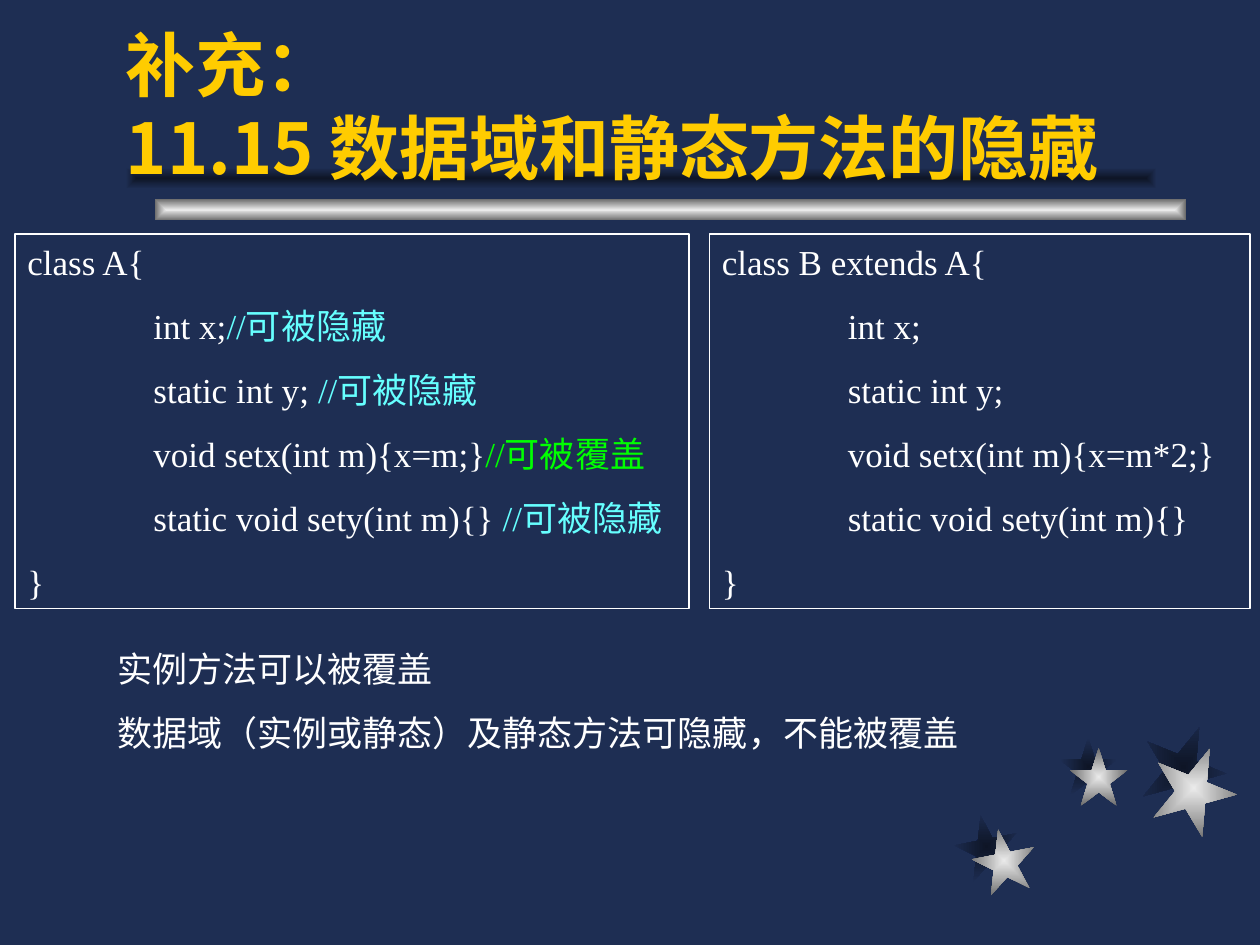
from lxml.etree import SubElement
from pptx import Presentation
from pptx.dml.color import RGBColor
from pptx.enum.shapes import MSO_SHAPE as Shape
from pptx.enum.text import MSO_ANCHOR as Anchor
from pptx.oxml.ns import qn
from pptx.util import Pt

NAVY = RGBColor(0x1E, 0x2E, 0x53)
DARK = RGBColor(0x0E, 0x15, 0x26)
SILVER = RGBColor(0xEA, 0xEA, 0xEA)
GREY = RGBColor(0x6C, 0x6C, 0x6C)
GOLD = RGBColor(0xFF, 0xCC, 0x00)
WHITE = RGBColor(0xFF, 0xFF, 0xFF)
CYAN = RGBColor(0x66, 0xFF, 0xFF)
GREEN = RGBColor(0x00, 0xFF, 0x00)
METAL = (SILVER, GREY)
SHADE = (DARK, NAVY)
LATIN, CJK = "Times New Roman", "Noto Sans CJK SC"

TITLE = ["补充：", "11.15 数据域和静态方法的隐藏"]
HIDDEN = ("//可被隐藏", CYAN)
OVERRIDDEN = ("//可被覆盖", GREEN)

# Each line is a list of (text, colour) spans
CLASS_A = [
    [("class A{", WHITE)],
    [("\tint x;", WHITE), HIDDEN],
    [("\tstatic int y; ", WHITE), HIDDEN],
    [("\tvoid setx(int m){x=m;}", WHITE), OVERRIDDEN],
    [("\tstatic void sety(int m){} ", WHITE), HIDDEN],
    [("}", WHITE)],
]
CLASS_B = [[(line, WHITE)] for line in (
    "class B extends A{",
    "\tint x;",
    "\tstatic int y;",
    "\tvoid setx(int m){x=m*2;}",
    "\tstatic void sety(int m){}",
    "}",
)]
SUMMARY = [[(line, WHITE)] for line in (
    "实例方法可以被覆盖",
    "数据域（实例或静态）及静态方法可隐藏，不能被覆盖",
)]

# Left, top, size, rotation of each star, then the offset of its shade
STARS = [
    (555.8, 473.8, 36, 349, -10, -8),
    (611.3, 427.4, 33.1, 0, -6, -6),
    (658.1, 426.2, 48.2, 22, -6, -12),
]
BAR_WIDTH, BAR_HEIGHT = 589, 12.2
CODE_TOP, CODE_HEIGHT = 133.9, 213.8


def add_glow(page, kind, left, top, width, height, colours, rotation=0):
    """Add a shape whose colour runs from its centre to its edges."""
    shape = page.shapes.add_shape(kind, Pt(left), Pt(top), Pt(width), Pt(height))
    shape.shadow.inherit = False
    shape.rotation = rotation
    shape.line.fill.background()
    shape.fill.gradient()
    for stop, colour in zip(shape.fill.gradient_stops, colours):
        stop.color.rgb = colour
    gradient = shape.element.spPr.find(qn("a:gradFill"))
    gradient.remove(gradient.find(qn("a:lin")))
    radial = SubElement(gradient, qn("a:path"))
    radial.set("path", "rect")
    SubElement(radial, qn("a:fillToRect"), dict.fromkeys("ltrb", "50000"))


def add_span(para, text, latin, size, colour, bold=False):
    span = para.add_run()
    span.text = text
    font = span.font
    font.name, font.size, font.bold = latin, Pt(size), bold
    font.color.rgb = colour
    SubElement(font._element, qn("a:ea")).set("typeface", CJK)


def add_lines(page, left, top, width, height, lines, framed=False):
    box = page.shapes.add_textbox(Pt(left), Pt(top), Pt(width), Pt(height))
    if framed:
        box.line.color.rgb = WHITE
        box.line.width = Pt(1)
    frame = box.text_frame
    frame.word_wrap = True
    for index, line in enumerate(lines):
        para = frame.add_paragraph() if index else frame.paragraphs[0]
        tabs = SubElement(para._p.get_or_add_pPr(), qn("a:tabLst"))
        SubElement(tabs, qn("a:tab"), pos=str(Pt(72)), algn="l")
        para.line_spacing = Pt(24.1)
        if index:
            para.space_before = Pt(12.5)
        for text, colour in line:
            add_span(para, text, LATIN, 20, colour)


def add_title(page):
    box = page.shapes.add_textbox(Pt(64.8), Pt(18), Pt(601.2), Pt(90))
    frame = box.text_frame
    frame.word_wrap = True
    frame.vertical_anchor = Anchor.BOTTOM
    frame.margin_bottom = Pt(0.4)
    para = frame.paragraphs[0]
    para.line_spacing = Pt(47.4)
    for index, line in enumerate(TITLE):
        if index:
            para.add_line_break()
        add_span(para, line, CJK, 40, GOLD, bold=True)


def main():
    deck = Presentation()
    deck.slide_width, deck.slide_height = Pt(720), Pt(540)
    page = deck.slides.add_slide(deck.slide_layouts[6])
    page.background.fill.solid()
    page.background.fill.fore_color.rgb = NAVY

    for left, top, size, turn, dx, dy in STARS:
        add_glow(page, Shape.STAR_5_POINT, left + dx, top + dy, size, size, SHADE, turn)
    for left, top, size, turn, _, _ in STARS:
        add_glow(page, Shape.STAR_5_POINT, left, top, size, size, METAL, turn)
    for left, top, colours in ((88.6, 113.8, METAL), (72, 95.8, SHADE)):
        add_glow(page, Shape.RECTANGLE, left, top, BAR_WIDTH, BAR_HEIGHT, colours)

    add_title(page)
    for left, width, lines in ((8.6, 385.2, CLASS_A), (405.4, 308.9, CLASS_B)):
        add_lines(page, left, CODE_TOP, width, CODE_HEIGHT, lines, framed=True)
    add_lines(page, 59.8, 366.5, 607, 67.7, SUMMARY)
    deck.save("out.pptx")


if __name__ == "__main__":
    main()
